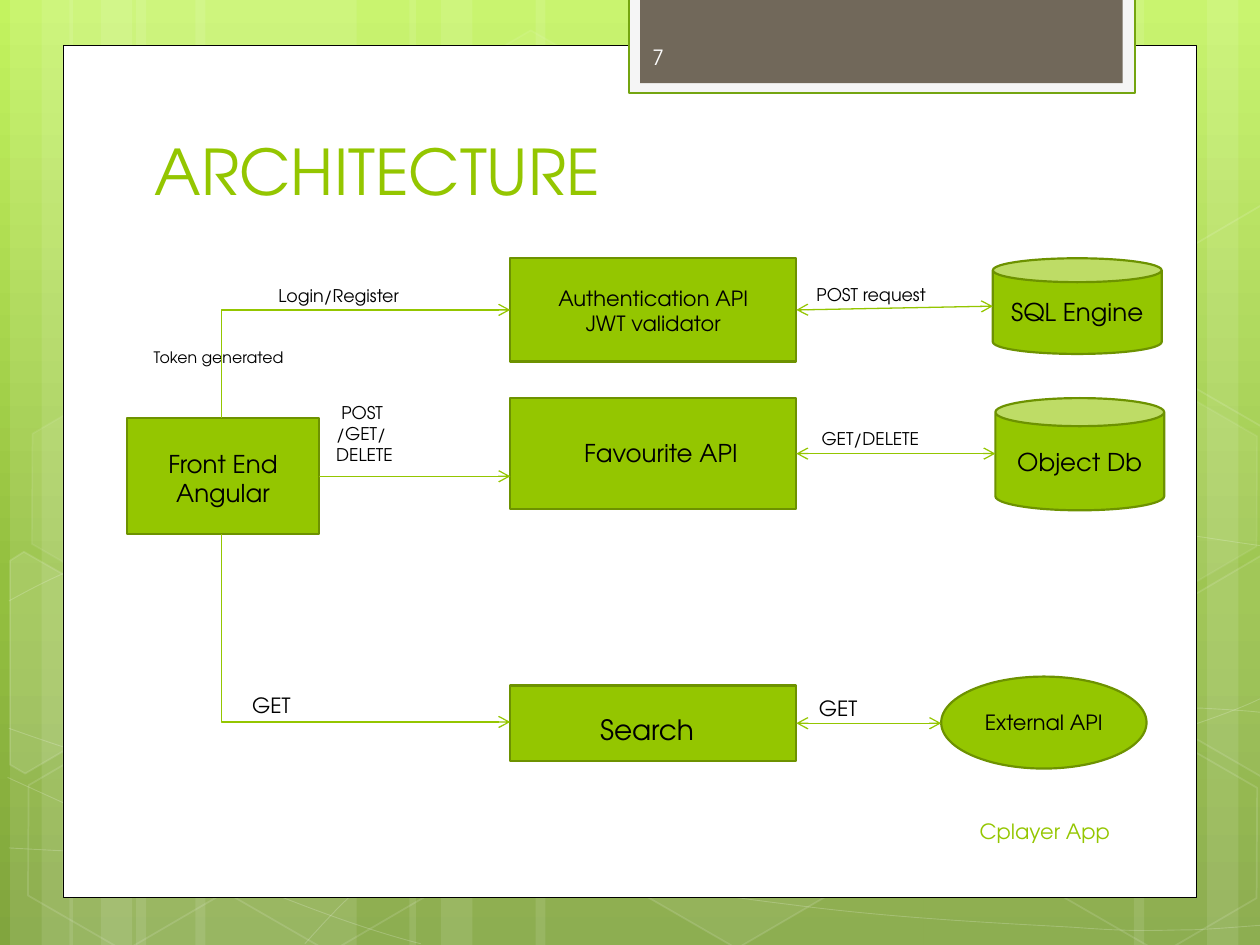
from copy import deepcopy

from lxml import etree
from pptx import Presentation
from pptx import util as u
from pptx.dml.color import RGBColor
from pptx.enum import shapes, text
from pptx.oxml.ns import qn

LIME = RGBColor(0x94, 0xC6, 0x00)
OLIVE = RGBColor(0x6D, 0x92, 0x00)
LEAF = RGBColor(0x74, 0xA5, 0x10)
TAUPE = RGBColor(0x71, 0x68, 0x5A)
PALE = RGBColor(0xF5, 0xF5, 0xF5)
NUMBER = RGBColor(0xFE, 0xFE, 0xFE)
WHITE = RGBColor(0xFF, 0xFF, 0xFF)
BLACK = RGBColor(0, 0, 0)
SKY = [(0, RGBColor(0xC3, 0xF3, 0x5F)), (0.62, RGBColor(0x93, 0xBF, 0x3F)),
       (1, RGBColor(0x81, 0xA5, 0x3E))]
FONT = "TeX Gyre Adventor"
KIND = shapes.MSO_SHAPE
WIDTH, HEIGHT = 10, 7.5
FINE = 1000  # freeform units per inch


def paint(shape, fill=None, line=None, weight=1.25, fill_alpha=100, line_alpha=100):
    """Set fill and outline; the alphas are percentages."""
    shape.shadow.inherit = False
    solid = qn("a:solidFill")
    for part, color, alpha, where in ((shape.fill, fill, fill_alpha, solid),
                                      (shape.line.fill, line, line_alpha, qn("a:ln") + "/" + solid)):
        if color is None:
            part.background()
            continue
        part.solid()
        part.fore_color.rgb = color
        if alpha < 100:
            tone = shape._element.spPr.find(where)[0]
            etree.SubElement(tone, qn("a:alpha"), val=str(alpha * 1000))
    if line is not None:
        shape.line.width = u.Pt(weight)


def write(shape, wording, size, color=BLACK, align=text.PP_ALIGN.LEFT,
          anchor=text.MSO_ANCHOR.MIDDLE, wrap=True, left=0.1, top=0.05, indent=0):
    frame = shape.text_frame
    frame.text = wording
    frame.word_wrap = wrap
    frame.vertical_anchor = anchor
    frame.margin_left, frame.margin_top = u.Inches(left), u.Inches(top)
    for paragraph in frame.paragraphs:
        paragraph.alignment = align
        paragraph.font.size = u.Pt(size)
        for run in paragraph.runs:
            run.font.name = FONT
            run.font.size = u.Pt(size)
            run.font.color.rgb = color
    if indent:
        frame.paragraphs[0]._p.get_or_add_pPr().set("indent", str(u.Inches(indent)))


deck = Presentation()
deck.slide_width, deck.slide_height = u.Inches(WIDTH), u.Inches(HEIGHT)
slide = deck.slides.add_slide(deck.slide_layouts[5])
canvas = slide.shapes

# Backdrop: gradient, light bands, waves and hexagons
sky = slide.background.fill
sky.gradient()
sky.gradient_angle = 270
first_stop = slide._element.find(".//" + qn("a:gs"))
first_stop.addnext(deepcopy(first_stop))
for stop, (position, color) in zip(sky.gradient_stops, SKY):
    stop.position = position
    stop.color.rgb = color

for left, width in [(1.08, 1.75), (0.08, 0.5), (0.33, 0.83), (1.55, 1.75), (0.55, 0.5),
                    (0.8, 0.83), (7.33, 1.75), (9.58, 0.5), (9, 0.83), (4.25, 3.08),
                    (3.25, 0.5), (3.5, 0.83)]:
    band = canvas.add_shape(KIND.RECTANGLE, *map(u.Inches, (left, 0, width, HEIGHT)))
    paint(band, WHITE, fill_alpha=10)

# Each wave is a chain of cubic curves: a start, then two controls and an end per curve
waves = [
    [(0.07, 6.73), (0.61, 6.76), (1.15, 6.79), (1.9, 6.78), (2.65, 6.77), (3.58, 6.75),
     (4.58, 6.65), (5.58, 6.55), (7, 6.36), (7.92, 6.17), (8.83, 5.98), (9.77, 5.68), (10.07, 5.51)],
    [(0.07, 4.77), (0.36, 4.61), (0.65, 4.46), (1.21, 4.31), (1.78, 4.16), (2.59, 3.94),
     (3.47, 3.87), (4.36, 3.8), (5.44, 3.79), (6.54, 3.87), (7.64, 3.95), (9.47, 4.26), (10.07, 4.34)],
    [(0.06, 6.17), (1.27, 6.72), (2.47, 7.27), (3.34, 7.49)],
    [(0.07, 5.78), (0.38, 5.89), (0.7, 6), (1.28, 6.16), (1.86, 6.31), (2.73, 6.56),
     (3.57, 6.73), (4.4, 6.9), (5.45, 7.08), (6.28, 7.18), (7.11, 7.29), (8, 7.33),
     (8.53, 7.36), (9.05, 7.4), (9.19, 7.38), (9.45, 7.38), (9.71, 7.37), (9.89, 7.35), (10.07, 7.34)],
    [(2.42, 7.49), (2.6, 7.29), (2.78, 7.09), (3.02, 6.91), (3.26, 6.73), (3.6, 6.53),
     (3.88, 6.39), (4.16, 6.25), (4.33, 6.19), (4.7, 6.09), (5.06, 5.99), (5.73, 5.85),
     (6.08, 5.78), (6.44, 5.71), (6.49, 5.71), (6.8, 5.69), (7.11, 5.66), (7.6, 5.63),
     (7.94, 5.62), (8.29, 5.61), (8.86, 5.62), (8.86, 5.62), (9.08, 5.62), (9.31, 5.62),
     (9.53, 5.62), (9.71, 5.63), (9.88, 5.64), (9.97, 5.65), (10.06, 5.66), (10.03, 5.65), (10.06, 5.66)],
]
hexagon_parts = [
    ([(0.08, 4.45), (0.19, 4.38), (0.96, 4.82), (0.95, 5.7), (0.2, 6.14), (0.08, 6.07)], 10),
    ([(9.26, 4.85), (10.01, 4.41), (10.09, 4.46), (10.09, 6.13), (10.02, 6.17), (9.26, 5.73)], 4),
    ([(9.26, 2.07), (10.01, 1.63), (10.1, 1.68), (10.09, 3.35), (10.02, 3.39), (9.26, 2.95)], 0)]
for points, fill_alpha in [(wave, None) for wave in waves] + hexagon_parts:
    is_wave = fill_alpha is None
    units = [(x * FINE, y * FINE) for x, y in points]
    builder = canvas.build_freeform(*units[0], scale=u.Inches(1) / FINE)
    builder.add_line_segments(units[1:], close=not is_wave)
    outline = builder.convert_to_shape()
    if is_wave:
        paint(outline, line=WHITE, weight=0.5, line_alpha=20)
        lines = list(outline._element.iter(qn("a:lnTo")))
        for i in range(0, len(lines), 3):
            curve = etree.Element(qn("a:cubicBezTo"))
            lines[i].addprevious(curve)
            for line in lines[i:i + 3]:
                curve.append(line[0])
                line.getparent().remove(line)
    else:
        paint(outline, WHITE if fill_alpha else None, WHITE, 1, fill_alpha, 12)

for left, top, fill_alpha, line_alpha in [
        (3.34, 0.36, 4, 8), (4.97, 5.89, 6, 12), (0.11, 5.91, 0, 12), (0.14, 3.12, 7, 8),
        (1.74, 5.92, 0, 12), (7.53, 4.53, 10, 12), (8.34, 5.93, 0, 12), (8.34, 3.14, 7, 8)]:
    hexagon = canvas.add_shape(KIND.HEXAGON, *map(u.Inches, (left, top, 1.75, 1.52)))
    hexagon.adjustments[0] = 0.285
    hexagon.rotation = 30
    paint(hexagon, WHITE if fill_alpha else None, WHITE, 1, fill_alpha, line_alpha)

# Page and header tab
for box, fill, line, weight in [((0.5, 0.36, 9, 6.76), WHITE, BLACK, 0.5),
                                ((4.99, -0.02, 4.02, 0.76), PALE, LEAF, 1.25),
                                ((5.08, -0.02, 3.83, 0.68), TAUPE, None, 0)]:
    paint(canvas.add_shape(KIND.RECTANGLE, *map(u.Inches, box)), fill, line, weight)

title = canvas.title
title.left, title.top, title.width, title.height = map(u.Inches, (1.13, 0.76, 7.68, 0.94))
write(title, "ARCHITECTURE", 36, LIME, anchor=text.MSO_ANCHOR.BOTTOM)
canvas._spTree.append(title._element)  # above the page

for wording, box, color, align in [
        ("Cplayer App", (5.08, 6.4, 3.83, 0.4), LIME, text.PP_ALIGN.RIGHT),
        ("7", (5.08, 0.25, 1.46, 0.4), NUMBER, text.PP_ALIGN.LEFT)]:
    write(canvas.add_textbox(*map(u.Inches, box)), wording, 12, color, align)

# Components
nodes = {}
for key, kind, box, wording, size, left, top in [
        ("front", KIND.RECTANGLE, (1.01, 3.32, 1.52, 0.92), "Front End\nAngular", 14, 0.1, 0.08),
        ("auth", KIND.RECTANGLE, (4.05, 2.05, 2.27, 0.82), "Authentication API\nJWT validator", 12, 0.1, 0.06),
        ("favourite", KIND.RECTANGLE, (4.05, 3.16, 2.27, 0.88), "Favourite API", 14, 0.22, 0.04),
        ("search", KIND.RECTANGLE, (4.05, 5.44, 2.27, 0.6), "Search", 16, 0, 0.14),
        ("sql", KIND.CAN, (7.88, 2.05, 1.34, 0.76), "SQL Engine", 14, 0.1, 0.05),
        ("documents", KIND.CAN, (7.9, 3.16, 1.34, 0.89), "Object Db", 14, 0.1, 0.05),
        ("external", KIND.OVAL, (7.47, 5.37, 1.63, 0.73), "External API", 12, 0.1, 0.05)]:
    nodes[key] = canvas.add_shape(kind, *map(u.Inches, box))
    paint(nodes[key], LIME, OLIVE)
    write(nodes[key], wording, size, align=text.PP_ALIGN.CENTER, left=left, top=top)

# Request labels
for wording, box, size, left, top, wrap, indent in [
        ("POST request", (6.32, 2.14, 1.71, 0.35), 10, 0.16, 0.11, True, 0),
        ("GET/DELETE", (6.38, 3.35, 1.02, 0.27), 10, 0.14, 0.05, False, 0),
        ("GET", (6.34, 5.44, 0.57, 0.35), 12, 0.16, 0.08, False, 0),
        ("Login/Register", (2.06, 2.15, 1.71, 0.35), 10, 0.15, 0.11, True, 0),
        ("Token generated", (1.06, 2.64, 2.08, 0.35), 9, 0.16, 0.12, True, 0),
        ("POST\v/GET/\nDELETE", (2.57, 3.14, 1.19, 0.61), 10, 0.1, 0.05, True, 0.04),
        ("GET", (1.85, 5.45, 1.71, 0.3), 12, 0.15, 0.05, True, 0)]:
    write(canvas.add_textbox(*map(u.Inches, box)), wording, size, anchor=text.MSO_ANCHOR.TOP,
          wrap=wrap, left=left, top=top, indent=indent)

# Links; the elbows run from the API back to the front end
BOTH, HEAD, TAIL = ("headEnd", "tailEnd"), ("headEnd",), ("tailEnd",)
for ends, arrows, start in [
        ((4.05, 5.73, 1.76, 4.24), HEAD, None),
        ((4.05, 2.46, 1.76, 3.32), HEAD, None),
        ((6.32, 3.6, 7.9, 3.6), BOTH, "favourite"),
        ((6.32, 2.46, 7.88, 2.43), BOTH, "auth"),
        ((6.32, 5.74, 7.47, 5.74), BOTH, "search"),
        ((2.53, 3.78, 4.05, 3.78), TAIL, "front")]:
    style = shapes.MSO_CONNECTOR.STRAIGHT if start else shapes.MSO_CONNECTOR.ELBOW
    link = canvas.add_connector(style, *map(u.Inches, ends))
    if start:
        link.begin_connect(nodes[start], 3)
    else:
        link._element.spPr.find(qn("a:prstGeom")).set("prst", "bentConnector2")
    link.line.color.rgb = LIME
    link.line.width = u.Pt(0.75)
    for end in arrows:
        etree.SubElement(link.line._get_or_add_ln(), qn("a:" + end), type="arrow")
    etree.SubElement(link._element.spPr, qn("a:effectLst"))

deck.save("out.pptx")
